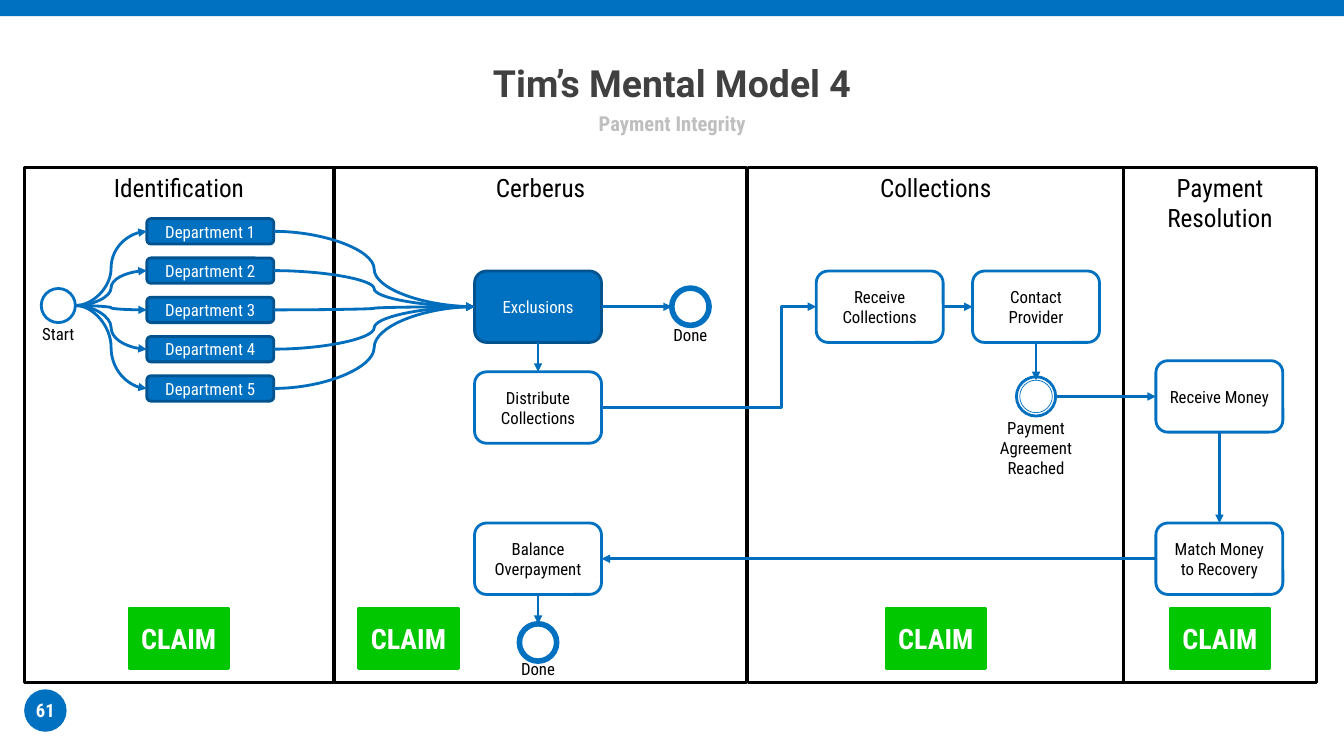
from dataclasses import dataclass
from enum import IntEnum

from lxml import etree
from pptx import Presentation
from pptx import util as u
from pptx.dml.color import RGBColor
from pptx.enum import shapes, text
from pptx.oxml.ns import qn


@dataclass(frozen=True)
class Theme:
    blue: str = "0070C0"
    dark_blue: str = "00538E"
    flow_blue: str = "006EBC"
    green: str = "00C700"
    black: str = "000000"
    white: str = "FFFFFF"
    title_grey: str = "404040"
    subtitle_grey: str = "BFBFBF"
    title_font: str = "Roboto"
    body_font: str = "Roboto Condensed"
    title_size: float = 26.7
    subtitle_size: float = 14.7
    number_size: float = 13.3
    lane_size: float = 18
    step_size: float = 12
    claim_size: float = 20
    hairline: float = 0.5
    line: float = 2
    thick_line: float = 4


THEME = Theme()


class Side(IntEnum):
    TOP = 0
    LEFT = 1
    BOTTOM = 2
    RIGHT = 3


@dataclass(frozen=True)
class Lane:
    name: str
    left: float
    width: float
    claim_left: float


@dataclass(frozen=True)
class Step:
    name: str
    left: float
    top: float
    height: float = 1.8
    solid: bool = False


@dataclass(frozen=True)
class Event:
    name: str
    centre_x: float
    centre_y: float
    diameter: float
    weight: float = THEME.line
    label: str = ""
    label_top: float = 0


@dataclass(frozen=True)
class Flow:
    start: str
    start_side: Side
    end: str
    end_side: Side
    kind: int = shapes.MSO_CONNECTOR.STRAIGHT
    bend: float = 0.5


STEP_WIDTH = 3.2
LANE_TOP, LANE_HEIGHT = 4.22, 12.98
DEPARTMENTS = [Step(f"Department {number}", 3.7, 5.51 + 0.99 * (number - 1), 0.64, True)
               for number in range(1, 6)]

LANES = [
    Lane("Identification", 0.61, 7.8, 3.25),
    Lane("Cerberus", 8.43, 10.39, 9.04),
    Lane("Collections", 18.85, 9.47, 22.33),
    Lane("Payment Resolution", 28.32, 4.85, 29.49),
]
STEPS = DEPARTMENTS + [
    Step("Exclusions", 11.96, 6.83, solid=True),
    Step("Distribute Collections", 11.96, 9.37),
    Step("Balance Overpayment", 11.96, 13.18),
    Step("Receive Collections", 20.57, 6.83),
    Step("Contact Provider", 24.51, 6.83),
    Step("Receive Money", 29.13, 9.09),
    Step("Match Money to Recovery", 29.13, 13.18),
]
EVENTS = [
    Event("start", 1.47, 7.7, 0.86, label="Start", label_top=8.03),
    Event("excluded", 17.4, 7.73, 0.94, THEME.thick_line, "Done", 8.05),
    Event("balanced", 13.56, 16.19, 0.94, THEME.thick_line, "Done", 16.48),
    Event("agreement", 26.11, 9.99, 0.99,
          label="Payment\nAgreement\nReached", label_top=10.39),
    Event("agreement ring", 26.11, 9.99, 0.82, THEME.hairline),
]
CURVE = shapes.MSO_CONNECTOR.CURVE
FLOWS = [
    *(Flow("start", Side.RIGHT, step.name, Side.LEFT, CURVE) for step in DEPARTMENTS),
    *(Flow(step.name, Side.RIGHT, "Exclusions", Side.LEFT, CURVE) for step in DEPARTMENTS),
    Flow("Exclusions", Side.RIGHT, "excluded", Side.LEFT),
    Flow("Exclusions", Side.BOTTOM, "Distribute Collections", Side.TOP),
    Flow("Distribute Collections", Side.RIGHT, "Receive Collections", Side.LEFT,
         shapes.MSO_CONNECTOR.ELBOW, 0.84),
    Flow("Receive Collections", Side.RIGHT, "Contact Provider", Side.LEFT),
    Flow("Contact Provider", Side.BOTTOM, "agreement ring", Side.TOP),
    Flow("agreement", Side.RIGHT, "Receive Money", Side.LEFT),
    Flow("Receive Money", Side.BOTTOM, "Match Money to Recovery", Side.TOP),
    Flow("Match Money to Recovery", Side.LEFT, "Balance Overpayment", Side.RIGHT),
    Flow("Balance Overpayment", Side.BOTTOM, "balanced", Side.TOP),
]


def write(shape, words: str, size: float, color: str, bold: bool = False,
          font: str = THEME.body_font, anchor=text.MSO_ANCHOR.MIDDLE,
          wrap: bool = True, inset: bool = True) -> None:
    frame = shape.text_frame
    frame.text = words
    frame.word_wrap = wrap
    frame.vertical_anchor = anchor
    if not inset:
        frame.margin_left = frame.margin_right = frame.margin_top = frame.margin_bottom = 0
    for para in frame.paragraphs:
        para.alignment = text.PP_ALIGN.CENTER
        for span in para.runs:
            span.font.name = font
            span.font.size = u.Pt(size)
            span.font.bold = bold
            span.font.color.rgb = RGBColor.from_string(color)


def add_figure(page, kind, left: float, top: float, width: float, height: float,
               fill: str = "", line: str = "", weight: float = THEME.line):
    """Add a preset shape; an empty colour means no fill or no line."""
    figure = page.shapes.add_shape(kind, u.Cm(left), u.Cm(top), u.Cm(width), u.Cm(height))
    figure.shadow.inherit = False
    for paint, color in ((figure.fill, fill), (figure.line.fill, line)):
        if color:
            paint.solid()
            paint.fore_color.rgb = RGBColor.from_string(color)
        else:
            paint.background()
    if line:
        figure.line.width = u.Pt(weight)
    return figure


def add_box(page, left: float, top: float, width: float, height: float):
    return page.shapes.add_textbox(u.Cm(left), u.Cm(top), u.Cm(width), u.Cm(height))


def add_heading(page) -> None:
    add_figure(page, shapes.MSO_SHAPE.RECTANGLE, 0, 0, 33.87, 0.41, THEME.blue)
    title = page.shapes.title
    title.left, title.top, title.width, title.height = map(u.Cm, (6.5, 1.42, 20.88, 1.32))
    write(title, "Tim’s Mental Model 4", THEME.title_size, THEME.title_grey, True,
          THEME.title_font, wrap=False, inset=False)
    write(add_box(page, 9.32, 2.74, 15.24, 0.74), "Payment Integrity",
          THEME.subtitle_size, THEME.subtitle_grey, True, wrap=False, inset=False)
    badge = add_figure(page, shapes.MSO_SHAPE.OVAL, 0.61, 17.37, 1.07, 1.07, THEME.blue)
    write(badge, "61", THEME.number_size, THEME.white, True, wrap=False, inset=False)


def add_lane(page, lane: Lane) -> None:
    frame = add_figure(page, shapes.MSO_SHAPE.RECTANGLE, lane.left, LANE_TOP, lane.width,
                       LANE_HEIGHT, line=THEME.black)
    write(frame, lane.name, THEME.lane_size, THEME.black, anchor=text.MSO_ANCHOR.TOP)
    claim = add_figure(page, shapes.MSO_SHAPE.RECTANGLE, lane.claim_left, 15.32, 2.51, 1.52,
                       THEME.green, THEME.green)
    write(claim, "CLAIM", THEME.claim_size, THEME.white, True)


def add_step(page, step: Step):
    fill, line, ink = ((THEME.blue, THEME.dark_blue, THEME.white) if step.solid
                       else (THEME.white, THEME.blue, THEME.black))
    box = add_figure(page, shapes.MSO_SHAPE.ROUNDED_RECTANGLE, step.left, step.top,
                     STEP_WIDTH, step.height, fill, line)
    write(box, step.name, THEME.step_size, ink)
    return box


def add_event(page, event: Event):
    radius = event.diameter / 2
    circle = add_figure(page, shapes.MSO_SHAPE.OVAL, event.centre_x - radius,
                        event.centre_y - radius, event.diameter, event.diameter,
                        THEME.white, THEME.blue, event.weight)
    if event.label:
        label = add_box(page, event.centre_x - 1.22, event.label_top, 2.44, 0.76)
        write(label, event.label, THEME.step_size, THEME.black,
              anchor=text.MSO_ANCHOR.TOP, wrap=False)
    return circle


def add_flow(page, flow: Flow, nodes: dict) -> None:
    arrow = page.shapes.add_connector(flow.kind, 0, 0, 0, 0)
    start, end = nodes[flow.start], nodes[flow.end]
    arrow.begin_connect(start, flow.start_side)
    arrow.end_connect(end, flow.end_side)
    for node, tag, side in ((start, "a:stCxn", flow.start_side), (end, "a:endCxn", flow.end_side)):
        if node.auto_shape_type == shapes.MSO_SHAPE.OVAL:  # ovals have eight sites, not four
            arrow._element.find(".//" + qn(tag)).set("idx", str(2 * side))
    arrow.line.color.rgb = RGBColor.from_string(THEME.flow_blue)
    arrow.line.width = u.Pt(THEME.line)
    properties = arrow._element.spPr
    etree.SubElement(properties.find(qn("a:ln")), qn("a:tailEnd"), type="triangle")
    etree.SubElement(properties, qn("a:effectLst"))
    if flow.bend != 0.5:
        guides = properties.find(".//" + qn("a:avLst"))
        etree.SubElement(guides, qn("a:gd"), name="adj1", fmla=f"val {flow.bend * 100000:.0f}")


def main() -> None:
    deck = Presentation()
    deck.slide_width, deck.slide_height = u.Cm(33.87), u.Cm(19.05)
    page = deck.slides.add_slide(deck.slide_layouts[5])
    add_heading(page)
    for lane in LANES:
        add_lane(page, lane)
    nodes = {step.name: add_step(page, step) for step in STEPS}
    nodes.update({event.name: add_event(page, event) for event in EVENTS})
    for flow in FLOWS:
        add_flow(page, flow, nodes)
    deck.save("out.pptx")


if __name__ == "__main__":
    main()
